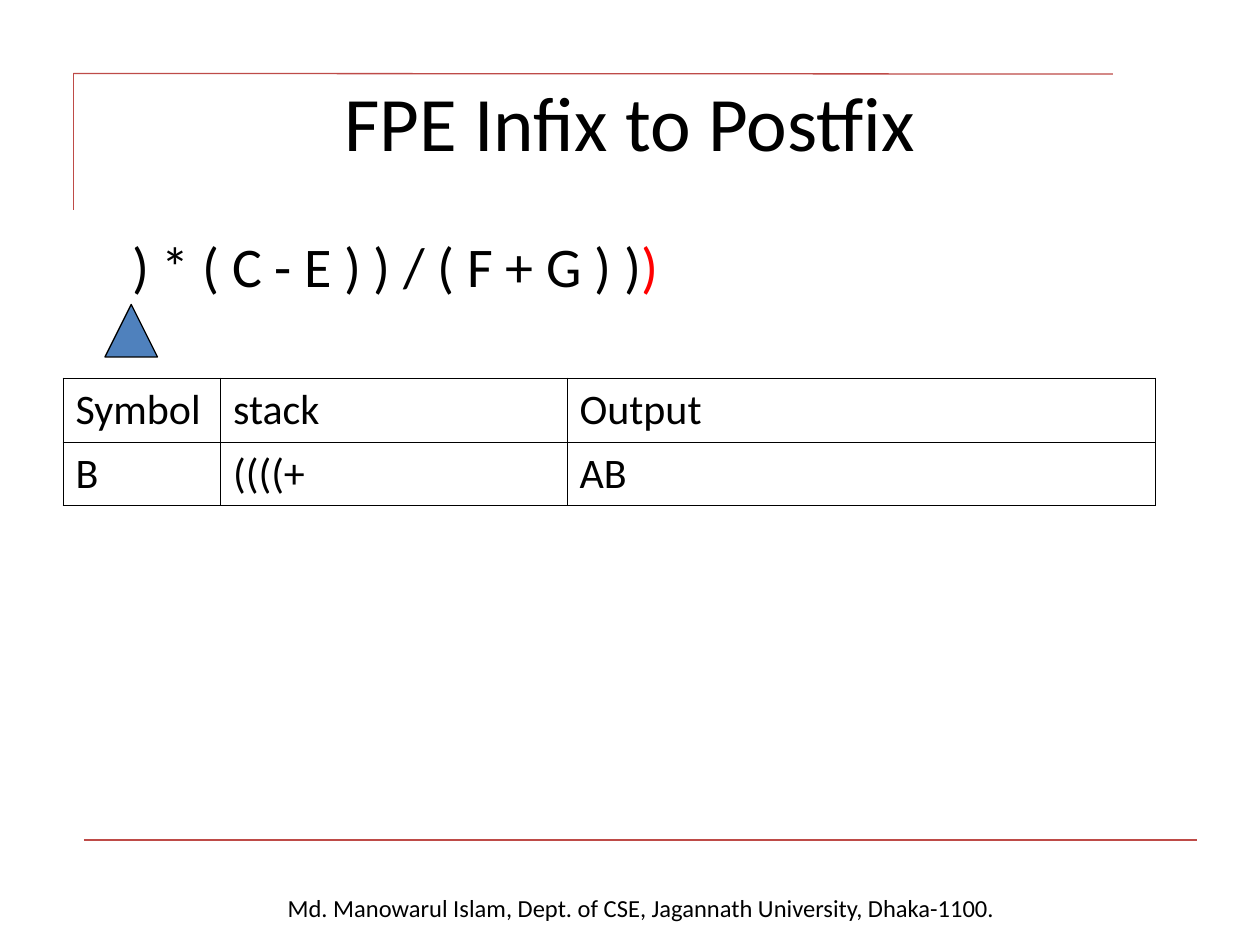
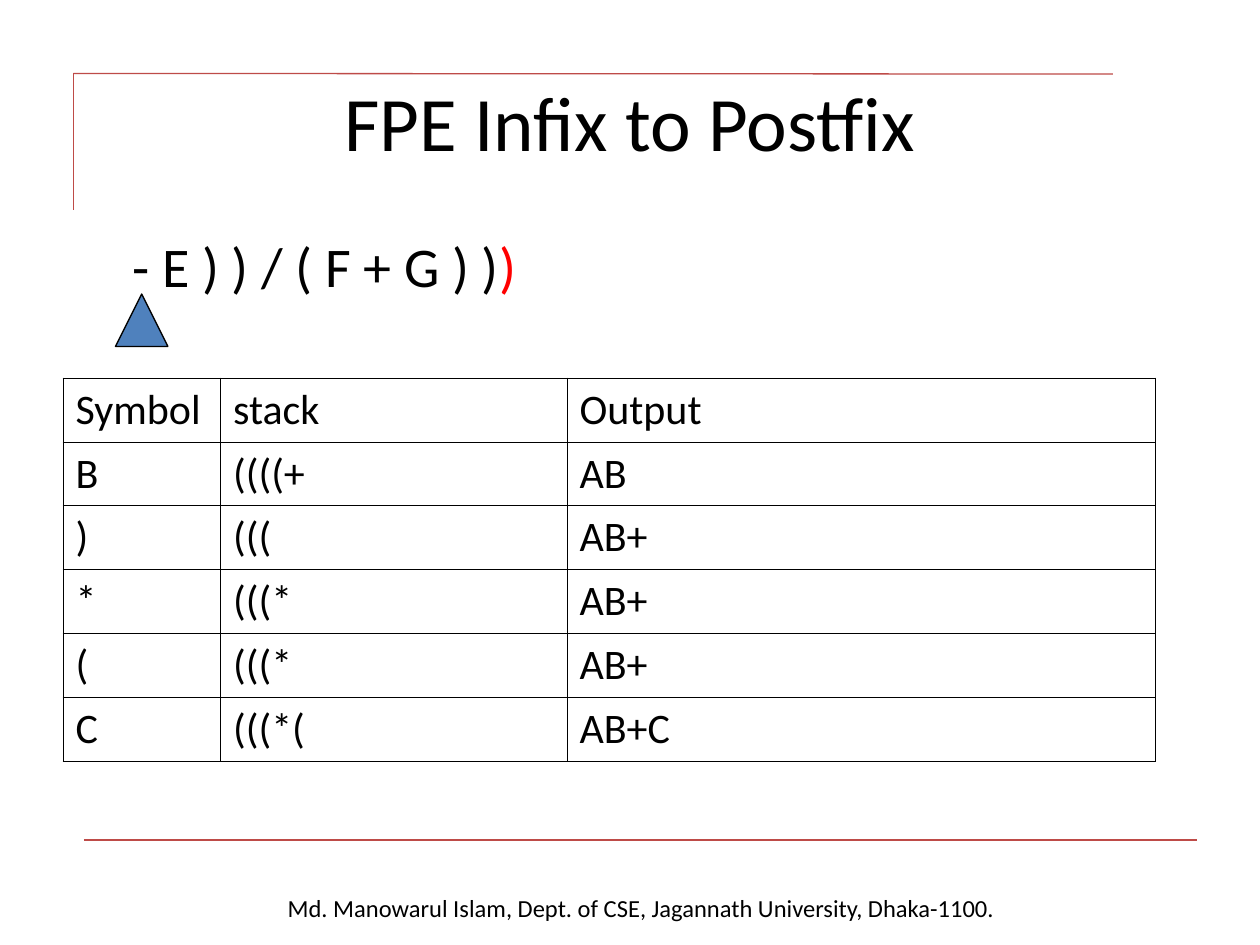
from dataclasses import dataclass

from lxml import etree
from pptx import Presentation
from pptx.dml.color import RGBColor
from pptx.enum.shapes import MSO_CONNECTOR, MSO_SHAPE
from pptx.enum.text import MSO_ANCHOR, MSO_AUTO_SIZE, PP_ALIGN
from pptx.oxml.ns import qn
from pptx.util import Pt

STRAIGHT = MSO_CONNECTOR.STRAIGHT
TRIANGLE = MSO_SHAPE.ISOSCELES_TRIANGLE
TOP, MIDDLE = MSO_ANCHOR.TOP, MSO_ANCHOR.MIDDLE
NO_AUTOFIT = MSO_AUTO_SIZE.NONE
LEFT, CENTER = PP_ALIGN.LEFT, PP_ALIGN.CENTER
TITLE_ONLY = 5


@dataclass(frozen=True)
class Theme:
    font: str = "Calibri"
    text: str = "000000"
    accent: str = "FF0000"
    rule: str = "BE4B48"
    pointer: str = "4F81BD"
    title_size: float = 44
    expression_size: float = 32
    table_size: float = 24
    footer_size: float = 14
    line_width: float = 0.75
    border_width: float = 0.45


THEME = Theme()
TITLE = "FPE Infix to Postfix"
FOOTER = "Md. Manowarul Islam, Dept. of CSE, Jagannath University, Dhaka-1100."
RULES = [(42, 42, 42, 120), (42, 42, 636, 42.3), (48, 480, 684, 480)]
HEADER = ("Symbol", "stack", "Output")
COLUMN_WIDTHS = (90, 198, 336)
ROW_HEIGHT = 36
STEPS = [
    ("B", "((((+", "AB"),
    (")", "(((", "AB+"),
    ("*", "(((*", "AB+"),
    ("(", "(((*", "AB+"),
    ("C", "(((*(", "AB+C"),
]
SLIDES = [
    {"rest": ") * ( C - E ) ) / ( F + G ) )", "pointer": (60, 174), "steps": 1},
    {"rest": "- E ) ) / ( F + G ) )", "pointer": (66, 168), "steps": 5},
]


def set_values(target, values):
    for name, value in values.items():
        setattr(target, name, value)


def add_run(p, text, size, color=THEME.text):
    r = p.add_run()
    r.text = text
    set_values(r.font, {"name": THEME.font, "size": Pt(size)})
    r.font.color.rgb = RGBColor.from_string(color)


def format_frame(tf, margins, anchor=TOP):
    left, top, right, bottom = map(Pt, margins)
    set_values(tf, {
        "margin_left": left, "margin_top": top,
        "margin_right": right, "margin_bottom": bottom,
        "word_wrap": True, "auto_size": NO_AUTOFIT, "vertical_anchor": anchor,
    })


def add_text(s, box, runs, size, margins, align=LEFT):
    tf = s.shapes.add_textbox(*map(Pt, box)).text_frame
    format_frame(tf, margins)
    p = tf.paragraphs[0]
    p.alignment = align
    for text, color in runs:
        add_run(p, text, size, color)


def set_title(s, text):
    sp = s.shapes.title
    set_values(sp, dict(zip(("left", "top", "width", "height"),
                            map(Pt, (36, 21.6, 648, 90)))))
    format_frame(sp.text_frame, (0, 4.8, 0, 0), MIDDLE)
    p = sp.text_frame.paragraphs[0]
    p.alignment = CENTER
    add_run(p, text, THEME.title_size)


def add_rule(s, ends):
    line = s.shapes.add_connector(STRAIGHT, *map(Pt, ends))
    line.line.color.rgb = RGBColor.from_string(THEME.rule)
    line.line.width = Pt(THEME.line_width)
    etree.SubElement(line._element.spPr, qn("a:effectLst"))


def add_frame(s):
    add_text(s, (27.4, 506.9, 678, 24.5), [(FOOTER, THEME.text)],
             THEME.footer_size, (7.2, 3.6, 7.2, 3.6), CENTER)
    for ends in RULES:
        add_rule(s, ends)


def add_expression(s, rest):
    add_text(s, (36, 126, 648, 356.4), [(rest, THEME.text), (")", THEME.accent)],
             THEME.expression_size, (39.6, 6.4, 0, 0))


def add_pointer(s, left, top):
    sp = s.shapes.add_shape(TRIANGLE, Pt(left), Pt(top), Pt(30), Pt(30))
    sp.shadow.inherit = False
    sp.fill.solid()
    sp.fill.fore_color.rgb = RGBColor.from_string(THEME.pointer)
    sp.line.color.rgb = RGBColor.from_string(THEME.text)
    sp.line.width = Pt(THEME.line_width)


def add_borders(cell):
    tc_pr = cell._tc.get_or_add_tcPr()
    for side in ("lnL", "lnR", "lnT", "lnB"):
        ln = etree.SubElement(tc_pr, qn(f"a:{side}"), w=str(Pt(THEME.border_width)))
        fill = etree.SubElement(ln, qn("a:solidFill"))
        etree.SubElement(fill, qn("a:srgbClr"), val=THEME.text)


def add_step_table(s, rows):
    table = s.shapes.add_table(len(rows), len(HEADER), Pt(36), Pt(216),
                               Pt(sum(COLUMN_WIDTHS)), Pt(ROW_HEIGHT * len(rows))).table
    set_values(table, {"first_row": False, "horz_banding": False})
    for column, width in zip(table.columns, COLUMN_WIDTHS):
        column.width = Pt(width)
    for i, row in enumerate(rows):
        table.rows[i].height = Pt(ROW_HEIGHT)
        for j, text in enumerate(row):
            cell = table.cell(i, j)
            add_borders(cell)
            cell.fill.background()
            add_run(cell.text_frame.paragraphs[0], text, THEME.table_size)


def main():
    prs = Presentation()
    set_values(prs, {"slide_width": Pt(720), "slide_height": Pt(540)})
    for content in SLIDES:
        s = prs.slides.add_slide(prs.slide_layouts[TITLE_ONLY])
        add_frame(s)
        set_title(s, TITLE)
        add_expression(s, content["rest"])
        add_pointer(s, *content["pointer"])
        add_step_table(s, [HEADER] + STEPS[:content["steps"]])
    prs.save("out.pptx")


if __name__ == "__main__":
    main()
